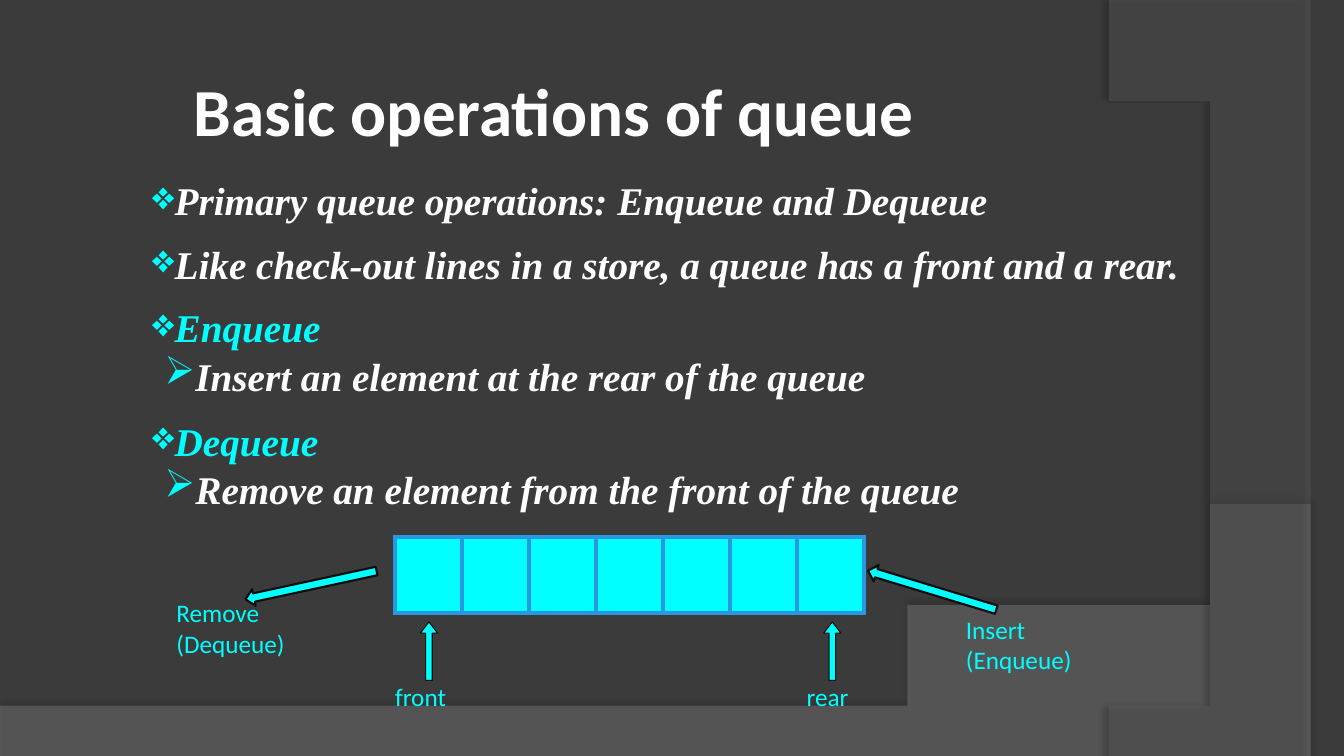
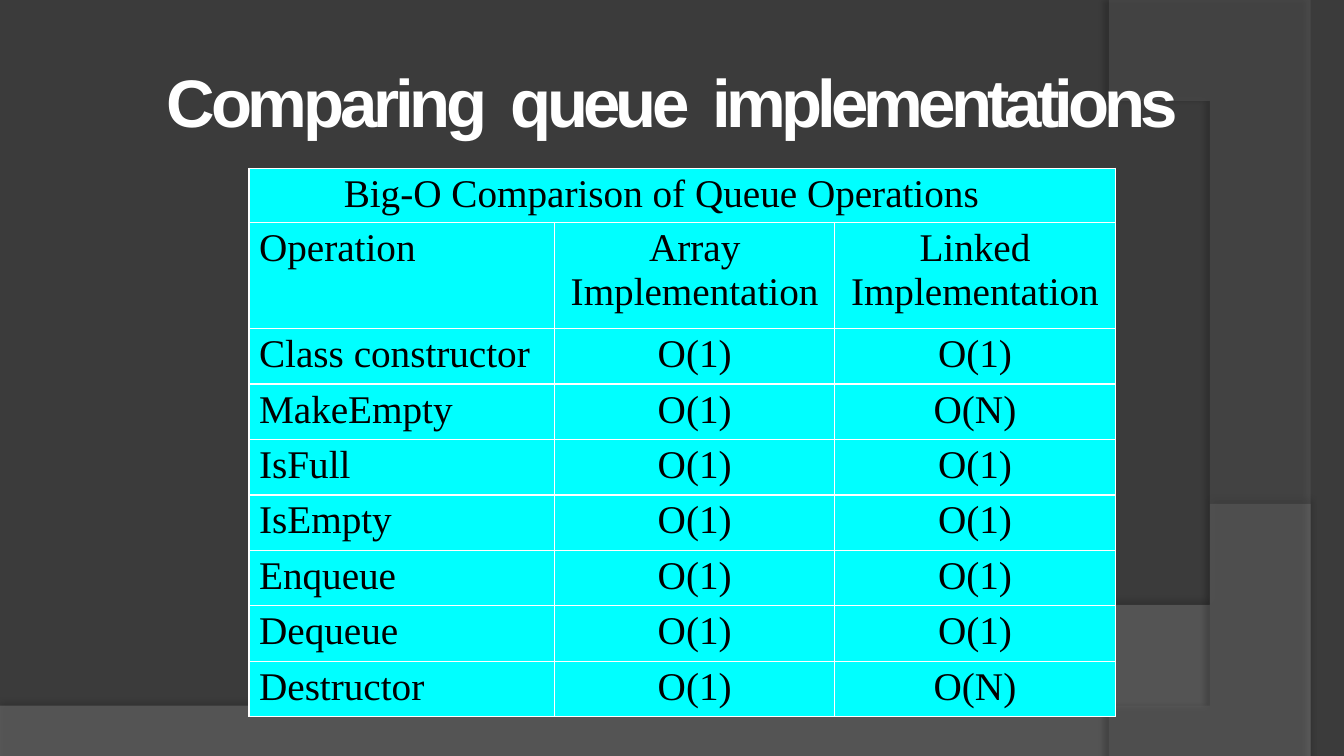
from dataclasses import dataclass

from lxml import etree
from pptx import Presentation
from pptx import util as u
from pptx.dml.color import RGBColor
from pptx.enum import shapes, text
from pptx.oxml import ns


@dataclass(frozen=True)
class Theme:
    # Colours
    back: str = "3B3B3B"
    wave: str = "7F7F7F"
    arc: str = "5E5E5E"
    light: str = "FFFFFF"
    dark: str = "000000"
    accent: str = "00FFFF"
    edge: str = "0D0D0D"
    cell_edge: str = "2997E2"
    # Fonts and sizes
    sans: str = "Calibri"
    title_sans: str = "Arial"
    serif: str = "Times New Roman"
    title_size: float = 48
    body_size: float = 28
    label_size: float = 18


THEME = Theme()
LEFT = text.PP_ALIGN.LEFT
CENTER = text.PP_ALIGN.CENTER

# Level: bullet, left margin and first-line indent in inches
BULLETS = [("❖", 0.01, 0), ("➢", 0.33, -0.2)]
# Level, text, colour, space before in points, line spacing
OPERATIONS = [
    (0, "Primary queue operations: Enqueue and Dequeue", THEME.light, 0, 1),
    (0, "Like check-out lines in a store, a queue has a front and a rear.",
     THEME.light, 0, 1.35),
    (0, "Enqueue", THEME.accent, 0, 1.35),
    (1, "Insert an element at the rear of the queue", THEME.light, 1, 1),
    (0, "Dequeue", THEME.accent, 12.8, 1),
    (1, "Remove an element from the front of the queue", THEME.light, 0.8, 1),
]
COSTS = [
    ("Operation", "Array Implementation", "Linked Implementation"),
    ("Class constructor", "O(1)", "O(1)"),
    ("MakeEmpty", "O(1)", "O(N)"),
    ("IsFull", "O(1)", "O(1)"),
    ("IsEmpty", "O(1)", "O(1)"),
    ("Enqueue", "O(1)", "O(1)"),
    ("Dequeue", "O(1)", "O(1)"),
    ("Destructor", "O(1)", "O(N)"),
]


def rgb(colour):
    return RGBColor.from_string(colour)


def add_xml(parent, tag, **attributes):
    node = etree.SubElement(parent, ns.qn(tag))
    for name, value in attributes.items():
        node.set(name, str(value))
    return node


# Text
def add_span(para, words, font, size, colour, bold=False, italic=False, spacing=0):
    span = para.add_run()
    span.text = words
    span.font.name, span.font.size = font, u.Pt(size)
    span.font.bold, span.font.italic = bold, italic
    span.font.color.rgb = rgb(colour)
    if spacing:
        span._r.get_or_add_rPr().set("spc", str(round(spacing * 100)))


def add_box(page, left, top, width, height, inset=0.01, anchor=text.MSO_ANCHOR.TOP):
    box = page.shapes.add_textbox(*map(u.Inches, (left, top, width, height)))
    frame = box.text_frame
    frame.word_wrap = True
    frame.vertical_anchor = anchor
    frame.margin_left = frame.margin_right = frame.margin_bottom = 0
    frame.margin_top = u.Inches(inset)
    return frame


def add_title(page, place, font, pieces, align=LEFT):
    """Write the heading from (words, letter spacing) pieces."""
    para = add_box(page, *place, anchor=text.MSO_ANCHOR.MIDDLE).paragraphs[0]
    para.alignment = align
    for words, spacing in pieces:
        add_span(para, words, font, THEME.title_size, THEME.light,
                 bold=True, spacing=spacing)


def add_label(page, words, left, top, width, height):
    para = add_box(page, left, top, width, height).paragraphs[0]
    add_span(para, words, THEME.sans, THEME.label_size, THEME.accent)


def set_bullet(para, level):
    mark, margin, indent = BULLETS[level]
    props = para._p.get_or_add_pPr()
    props.set("marL", str(u.Inches(margin)))
    props.set("indent", str(u.Inches(indent)))
    add_xml(add_xml(props, "a:buClr"), "a:srgbClr", val=THEME.accent)
    add_xml(props, "a:buChar", char=mark)


def add_bullets(page, items):
    frame = add_box(page, 1.5, 1.58, 11.5, 3.53, inset=0.17)
    for index, (level, words, colour, before, spacing) in enumerate(items):
        para = frame.add_paragraph() if index else frame.paragraphs[0]
        set_bullet(para, level)
        para.space_before = u.Pt(before)
        para.line_spacing = spacing
        add_span(para, words, THEME.serif, THEME.body_size, colour,
                 bold=True, italic=True)


# Arrows
def add_arrow(page, kind, left, top, width, height, line, turn=0, proportions=()):
    arrow = page.shapes.add_shape(kind, *map(u.Inches, (left, top, width, height)))
    arrow.shadow.inherit = False
    arrow.rotation = turn
    for index, value in enumerate(proportions):
        arrow.adjustments[index] = value
    arrow.fill.solid()
    arrow.fill.fore_color.rgb = rgb(THEME.accent)
    arrow.line.color.rgb = rgb(THEME.edge)
    arrow.line.width = u.Pt(line)


# Tables
def style_cell(cell, edge, weight):
    props = cell._tc.get_or_add_tcPr()
    for side in ("L", "R", "T", "B"):
        line = add_xml(props, f"a:ln{side}", w=u.Pt(weight))
        add_xml(add_xml(line, "a:solidFill"), "a:srgbClr", val=edge)
    cell.fill.solid()
    cell.fill.fore_color.rgb = rgb(THEME.accent)


def add_grid(page, left, top, columns, rows, edge, weight):
    lengths = map(u.Inches, (left, top, sum(columns), sum(rows)))
    table = page.shapes.add_table(len(rows), len(columns), *lengths).table
    table.first_row = table.horz_banding = False
    for column, width in zip(table.columns, columns):
        column.width = u.Inches(width)
    for row, height in zip(table.rows, rows):
        row.height = u.Inches(height)
    for cell in table.iter_cells():
        style_cell(cell, edge, weight)
    return table


def fill_cell(cell, words, indent=0.0, align=LEFT):
    cell.margin_left = u.Inches(indent)
    cell.margin_right = cell.margin_bottom = 0
    cell.margin_top = u.Inches(0.04)
    para = cell.text_frame.paragraphs[0]
    para.alignment = align
    add_span(para, words, THEME.serif, THEME.body_size, THEME.dark)


# Shared backdrop
def curve(start, first, second, end, steps=60):
    """Return points along a cubic curve, without its start."""
    points = []
    for step in range(1, steps + 1):
        t = step / steps
        weights = ((1 - t) ** 3, 3 * t * (1 - t) ** 2, 3 * t * t * (1 - t), t ** 3)
        points.append(tuple(
            sum(w * p[axis] for w, p in zip(weights, (start, first, second, end)))
            for axis in (0, 1)))
    return points


def add_sweep(page, points, colour, opacity, shade, distance, direction):
    builder = page.shapes.build_freeform(*points[0], scale=u.Inches(1))
    builder.add_line_segments(points[1:], close=True)
    sweep = builder.convert_to_shape()
    sweep.line.fill.background()
    sweep.fill.solid()
    sweep.fill.fore_color.rgb = rgb(colour)
    props = sweep._element.spPr
    add_xml(props.find(".//" + ns.qn("a:srgbClr")), "a:alpha", val=opacity * 1000)
    shadow = add_xml(add_xml(props, "a:effectLst"), "a:outerShdw", blurRad=u.Pt(4),
                     dist=u.Pt(distance), dir=direction * 60000)
    tint = add_xml(shadow, "a:srgbClr", val=THEME.dark)
    add_xml(tint, "a:alpha", val=shade * 1000)
    return sweep


def set_backdrop(deck, page):
    """Build the sweeps on a page, then move them to the master."""
    master = deck.slide_master
    master.background.fill.solid()
    master.background.fill.fore_color.rgb = rgb(THEME.back)
    wave = [(0, 7.05), (0, 7.5), (13.33, 7.5), (13.33, 5.2)]
    wave += curve(wave[-1], (7.45, 7.29), (5.21, 7.19), wave[0])
    arc = [(13.33, 0.02), (13.33, 7.5), (10.95, 7.5)]
    arc += curve(arc[-1], (12.46, 6.19), (13.57, 3), (10.67, 0))
    sweeps = [
        add_sweep(page, wave, THEME.wave, 45, 35, 3.5, 270),
        add_sweep(page, arc, THEME.arc, 40, 45, 4, 180),
    ]
    for position, sweep in enumerate(sweeps, start=2):
        master.shapes.element.insert(position, sweep._element)


# Slides
def build_operations(page):
    add_title(page, (1.92, 0.67, 8.72, 0.82), THEME.sans,
              [("Basic operations of queue", 0)])
    add_bullets(page, OPERATIONS)
    # Queue and its two ends
    add_grid(page, 3.92, 5.33, [4.65 / 7] * 7, [0.75], THEME.cell_edge, 3)
    add_label(page, "Insert (Enqueue)", 9.58, 6.08, 1.25, 0.62)
    add_label(page, "Remove (Dequeue)", 1.75, 5.92, 1.45, 0.62)
    add_label(page, "rear", 8, 6.75, 0.68, 0.32)
    add_label(page, "front", 3.92, 6.75, 0.6, 0.32)
    for left in (4.17, 8.17):
        add_arrow(page, shapes.MSO_SHAPE.UP_ARROW, left, 6.17, 0.17, 0.58, 0.75,
                  proportions=(0.38, 0.65))
    for left, top, turn in ((2.42, 5.72, 167.8), (8.58, 5.77, 196.9)):
        add_arrow(page, shapes.MSO_SHAPE.RIGHT_ARROW, left, top, 1.33, 0.17, 1.5, turn)


def build_comparison(page):
    pieces = [("Comparing", -3), (" ", 3), ("queue", -3.4), (" ", 3),
              ("implementations", -3.5)]
    add_title(page, (0.67, 0.58, 12, 0.82), THEME.title_sans, pieces, CENTER)
    # Cost table
    heights = [0.54, 1.05] + [0.55] * (len(COSTS) - 1)
    table = add_grid(page, 2.47, 1.67, [3.03, 2.78, 2.78], heights, THEME.light, 1)
    heading = table.cell(0, 0)
    heading.merge(table.cell(0, 2))
    fill_cell(heading, "Big-O Comparison of Queue Operations", 0.94)
    for row, (operation, *costs) in enumerate(COSTS, start=1):
        fill_cell(table.cell(row, 0), operation, 0.1)
        for column, cost in enumerate(costs, start=1):
            fill_cell(table.cell(row, column), cost, align=CENTER)


def main():
    deck = Presentation()
    deck.slide_width, deck.slide_height = u.Inches(13.33), u.Inches(7.5)
    pages = [deck.slides.add_slide(deck.slide_layouts[6]) for _ in range(2)]
    set_backdrop(deck, pages[0])
    build_operations(pages[0])
    build_comparison(pages[1])
    deck.save("out.pptx")


if __name__ == "__main__":
    main()
